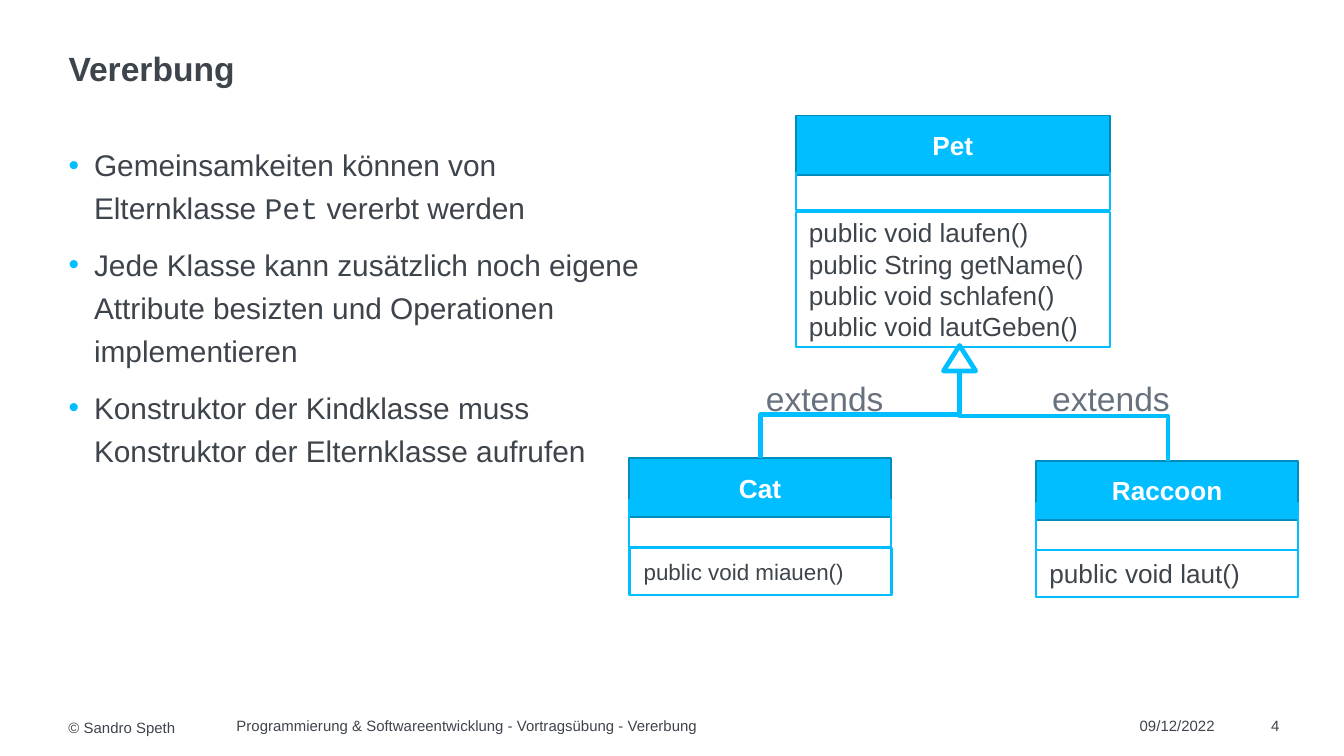
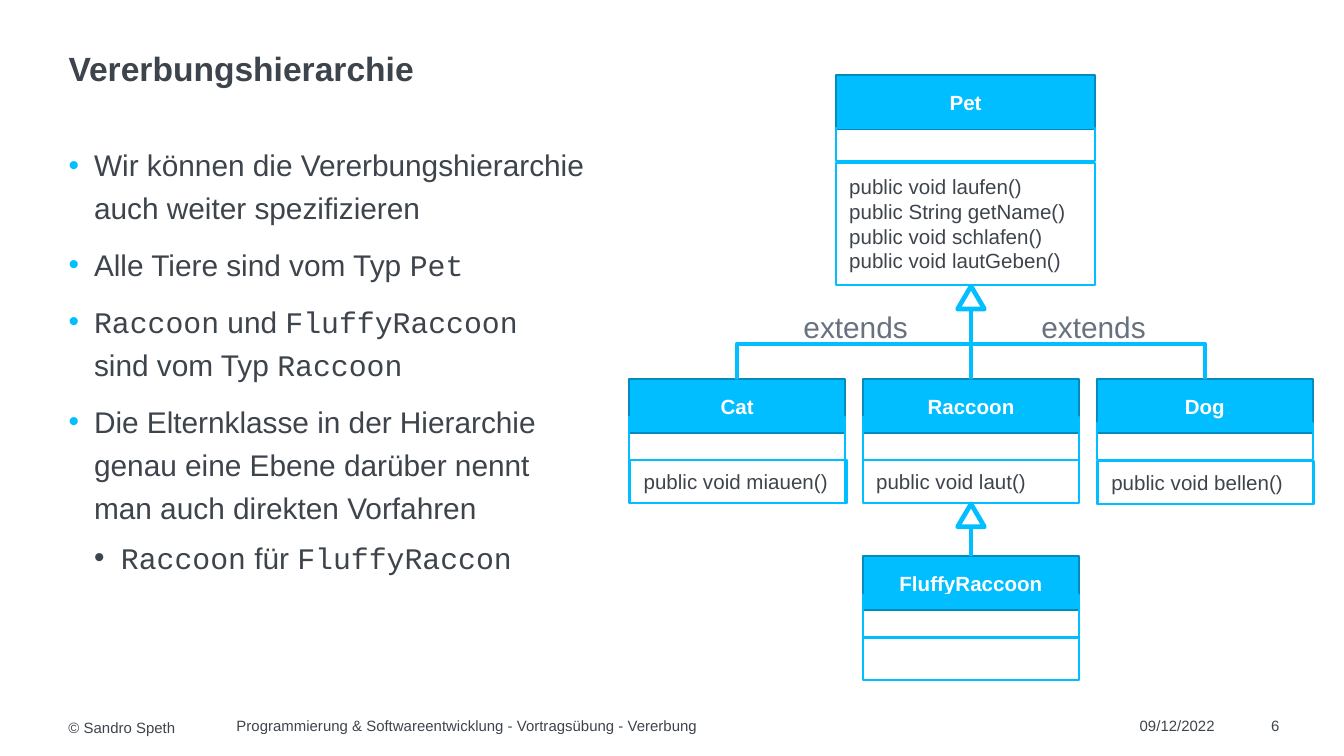
from lxml.etree import SubElement
from pptx import Presentation
from pptx.dml.color import RGBColor
from pptx.enum.shapes import MSO_CONNECTOR, MSO_SHAPE
from pptx.enum.text import MSO_ANCHOR, MSO_AUTO_SIZE, PP_ALIGN
from pptx.oxml.ns import qn
from pptx.util import Inches, Pt

ACCENT = RGBColor(0x00, 0xBE, 0xFF)
HEADER_EDGE = RGBColor(0x00, 0x8D, 0xBD)
INK = RGBColor(0x3E, 0x44, 0x4C)
LABEL_GRAY = RGBColor(0x68, 0x72, 0x7F)
WHITE = RGBColor(0xFF, 0xFF, 0xFF)
BODY_FONT = "Arial"
CODE_FONT = "Courier New"
MARGIN = 0.51
CONTENT_WIDTH = 9.02
PET_METHODS = [
    "public void laufen()",
    "public String getName()",
    "public void schlafen()",
    "public void lautGeben()",
]


def write_text(frame, paragraphs, size, color=INK, bold=False, align=PP_ALIGN.LEFT,
               anchor=MSO_ANCHOR.TOP, inset=None, wrap=True, line_spacing=None):
    """Fill a text frame; backticks mark code and newlines mark line breaks."""
    frame.word_wrap = wrap
    frame.vertical_anchor = anchor
    if inset is not None:
        frame.margin_left = frame.margin_right = Inches(inset)
        frame.margin_top = frame.margin_bottom = Inches(inset)
    for number, text in enumerate(paragraphs):
        paragraph = frame.add_paragraph() if number else frame.paragraphs[0]
        paragraph.alignment = align
        if line_spacing:
            paragraph.line_spacing = line_spacing
        for piece_number, piece in enumerate(text.split("`")):
            for line_number, line in enumerate(piece.split("\n")):
                if line_number:
                    paragraph.add_line_break()
                    SubElement(paragraph._p[-1], qn("a:rPr"), sz=str(size * 100))
                if line:
                    run = paragraph.add_run()
                    run.text = line
                    run.font.name = CODE_FONT if piece_number % 2 else BODY_FONT
                    run.font.size = Pt(size)
                    run.font.bold = bold
                    run.font.color.rgb = color


def add_text(slide, left, top, width, height, paragraphs, size, **text_format):
    """Add a text box and return its text frame."""
    box = slide.shapes.add_textbox(Inches(left), Inches(top), Inches(width), Inches(height))
    write_text(box.text_frame, paragraphs, size, **text_format)
    return box.text_frame


def add_outline(slide, kind, left, top, width, height, line_width=1, fill=None, edge=ACCENT):
    """Add an outlined preset shape, filled only on request."""
    shape = slide.shapes.add_shape(kind, Inches(left), Inches(top), Inches(width), Inches(height))
    shape.shadow.inherit = False
    if fill is None:
        shape.fill.background()
    else:
        shape.fill.solid()
        shape.fill.fore_color.rgb = fill
    shape.line.color.rgb = edge
    shape.line.width = Pt(line_width)
    return shape


def add_bullets(slide, left, top, width, height, items):
    """Add a bulleted list from pairs of level and text."""
    frame = add_text(slide, left, top, width, height, [text for _, text in items], 16,
                     inset=0, line_spacing=1.2)
    for number, (paragraph, (level, _)) in enumerate(zip(frame.paragraphs, items)):
        paragraph.level = level
        if number:
            paragraph.space_before = Pt(3.8 if level else 7.5)
        properties = paragraph._p.get_or_add_pPr()
        properties.set("marL", str(Inches(0.39 if level else 0.19)))
        properties.set("indent", str(Inches(-0.2 if level else -0.19)))
        bullet_color = SubElement(properties, qn("a:buClr"))
        SubElement(bullet_color, qn("a:srgbClr"), val=str(INK if level else ACCENT))
        SubElement(properties, qn("a:buFont"), typeface=BODY_FONT)
        SubElement(properties, qn("a:buChar"), char="•")


def add_class(slide, left, top, width, name, methods, header, attributes, operations,
              size, method_size=None, doubled=False):
    """Draw a class whose attributes and operations rows are (offset, height) pairs."""
    title = add_outline(slide, MSO_SHAPE.RECTANGLE, left, top, width, header,
                        fill=ACCENT, edge=HEADER_EDGE)
    write_text(title.text_frame, [name], size, color=WHITE, bold=True,
               align=PP_ALIGN.CENTER, anchor=MSO_ANCHOR.MIDDLE)
    rows = [(left, operations), (left, attributes)]
    if doubled:
        rows.insert(0, (left + 0.01, operations))
    shapes = [add_outline(slide, MSO_SHAPE.RECTANGLE, row_left, top + offset, width, height)
              for row_left, (offset, height) in rows]
    if methods:
        write_text(shapes[0].text_frame, methods, method_size or size, anchor=MSO_ANCHOR.MIDDLE)


def add_inheritance(slide, tip_x, tip_y, width, height, children):
    """Draw the hollow arrowhead and a connector from the top centre of each child."""
    add_outline(slide, MSO_SHAPE.ISOSCELES_TRIANGLE, tip_x - width / 2, tip_y, width, height,
                line_width=2.5)
    base = tip_y + height
    for child_x, child_y in children:
        middle_x, middle_y = (child_x + tip_x) / 2, (child_y + base) / 2
        reach_x, reach_y = child_x - middle_x, child_y - middle_y
        if child_x == tip_x:
            kind, turn = MSO_CONNECTOR.STRAIGHT, 0
        else:
            kind, turn = MSO_CONNECTOR.ELBOW, 1 if child_x < tip_x else -1
            reach_x, reach_y = turn * reach_y, -turn * reach_x
        connector = slide.shapes.add_connector(
            kind, Inches(middle_x + reach_x), Inches(middle_y + reach_y),
            Inches(middle_x - reach_x), Inches(middle_y - reach_y))
        connector.line.color.rgb = ACCENT
        connector.line.width = Pt(2.5)
        properties = connector._element.spPr
        SubElement(properties, qn("a:effectLst"))
        if turn:
            properties.find(qn("a:xfrm")).set("rot", str(turn * 90 % 360 * 60000))


def add_extends_labels(slide, lefts, top, width, height, size):
    """Label both branches of the inheritance tree."""
    for left in lefts:
        frame = add_text(slide, left, top, width, height, ["extends"], size,
                         color=LABEL_GRAY, wrap=False)
        frame.auto_size = MSO_AUTO_SIZE.SHAPE_TO_FIT_TEXT


def add_footer(slide, number):
    """Add the footer line."""
    add_text(slide, MARGIN, 5.32, 1.03, 0.15, ["© Sandro Speth"], 8, inset=0, line_spacing=1.2)
    add_text(slide, 1.76, 5.33, 5.67, 0.13,
             ["Programmierung & Softwareentwicklung - Vortragsübung - Vererbung"], 8, inset=0)
    add_text(slide, 8.48, 5.33, 0.58, 0.13, ["09/12/2022"], 8, inset=0)
    add_text(slide, 9.28, 5.33, 0.24, 0.13, [str(number)], 8, inset=0, align=PP_ALIGN.RIGHT)


def add_content_slide(presentation, title_text, number, items):
    """Add a slide with title, bullets and footer."""
    slide = presentation.slides.add_slide(presentation.slide_layouts[5])
    title = slide.shapes.title
    title.left, title.top = Inches(MARGIN), Inches(0.39)
    title.width, title.height = Inches(CONTENT_WIDTH), Inches(0.47)
    write_text(title.text_frame, [title_text], 18, bold=True, inset=0, line_spacing=0.9)
    add_bullets(slide, MARGIN, 1.04, CONTENT_WIDTH, 4.11, items)
    add_footer(slide, number)
    return slide


def draw_pet_family(slide, left, top):
    """Draw Pet with its two subclasses."""
    add_class(slide, left + 1.24, top, 2.34, "Pet", PET_METHODS, 0.44,
              (0.43, 0.27), (0.72, 1), 14)
    child = {"header": 0.44, "attributes": (0.31, 0.35), "size": 14}
    add_class(slide, left, top + 2.55, 1.95, "Cat", ["public void miauen()"],
              operations=(0.67, 0.35), method_size=12, doubled=True, **child)
    add_class(slide, left + 3.03, top + 2.57, 1.95, "Raccoon", ["public void laut()"],
              operations=(0.66, 0.35), **child)
    add_extends_labels(slide, (left + 3.05, left + 0.92), top + 1.9, 1.09, 0.4, 18)
    add_inheritance(slide, left + 2.46, top + 1.71, 0.24, 0.19,
                    [(left + 0.98, top + 2.55), (left + 4.01, top + 2.57)])


def draw_pet_hierarchy(slide, left, top):
    """Draw Pet with three subclasses and one grandchild."""
    add_class(slide, left + 1.54, top, 1.93, "Pet", PET_METHODS, 0.4,
              (0.39, 0.25), (0.65, 0.91), 11)
    width, pitch, child_top = 1.61, 1.74, top + 2.26
    children = [
        ("Cat", "public void miauen()", (0.28, 0.32), 0.6, True),
        ("Raccoon", "public void laut()", (0.28, 0.32), 0.6, False),
        ("Dog", "public void bellen()", (0.33, 0.27), 0.61, True),
    ]
    centers = [left + column * pitch + width / 2 for column in range(len(children))]
    for center, (name, method, attributes, offset, doubled) in zip(centers, children):
        add_class(slide, center - width / 2, child_top, width, name, [method], 0.4,
                  attributes, (offset, 0.32), 11, doubled=doubled)
    add_class(slide, left + pitch, top + 3.58, width, "FluffyRaccoon", [], 0.4,
              (0.29, 0.32), (0.6, 0.32), 11)
    add_extends_labels(slide, (left + 2.97, left + 1.2), top + 1.69, 0.99, 0.37, 16)
    add_inheritance(slide, centers[1], top + 1.57, 0.2, 0.17,
                    [(center, child_top) for center in centers])
    add_inheritance(slide, centers[1], top + 3.19, 0.2, 0.17, [(centers[1], top + 3.58)])


def main():
    """Build and save the presentation."""
    presentation = Presentation()
    presentation.slide_width = Inches(10)
    presentation.slide_height = Inches(10 * 9 / 16)
    family = add_content_slide(presentation, "Vererbung", 4, [
        (0, "Gemeinsamkeiten können von \nElternklasse `Pet` vererbt werden"),
        (0, "Jede Klasse kann zusätzlich noch eigene \nAttribute besizten und Operationen \n"
            "implementieren"),
        (0, "Konstruktor der Kindklasse muss \nKonstruktor der Elternklasse aufrufen"),
    ])
    draw_pet_family(family, 4.68, 0.86)
    hierarchy = add_content_slide(presentation, "Vererbungshierarchie", 6, [
        (0, "Wir können die Vererbungshierarchie \nauch weiter spezifizieren"),
        (0, "Alle Tiere sind vom Typ `Pet`"),
        (0, "`Raccoon` und `FluffyRaccoon\n`sind vom Typ `Raccoon`"),
        (0, "Die Elternklasse in der Hierarchie \ngenau eine Ebene darüber nennt \n"
            "man auch direkten Vorfahren"),
        (1, "`Raccoon` für `FluffyRaccon`"),
    ])
    draw_pet_hierarchy(hierarchy, 4.68, 0.56)
    presentation.save("out.pptx")


if __name__ == "__main__":
    main()
